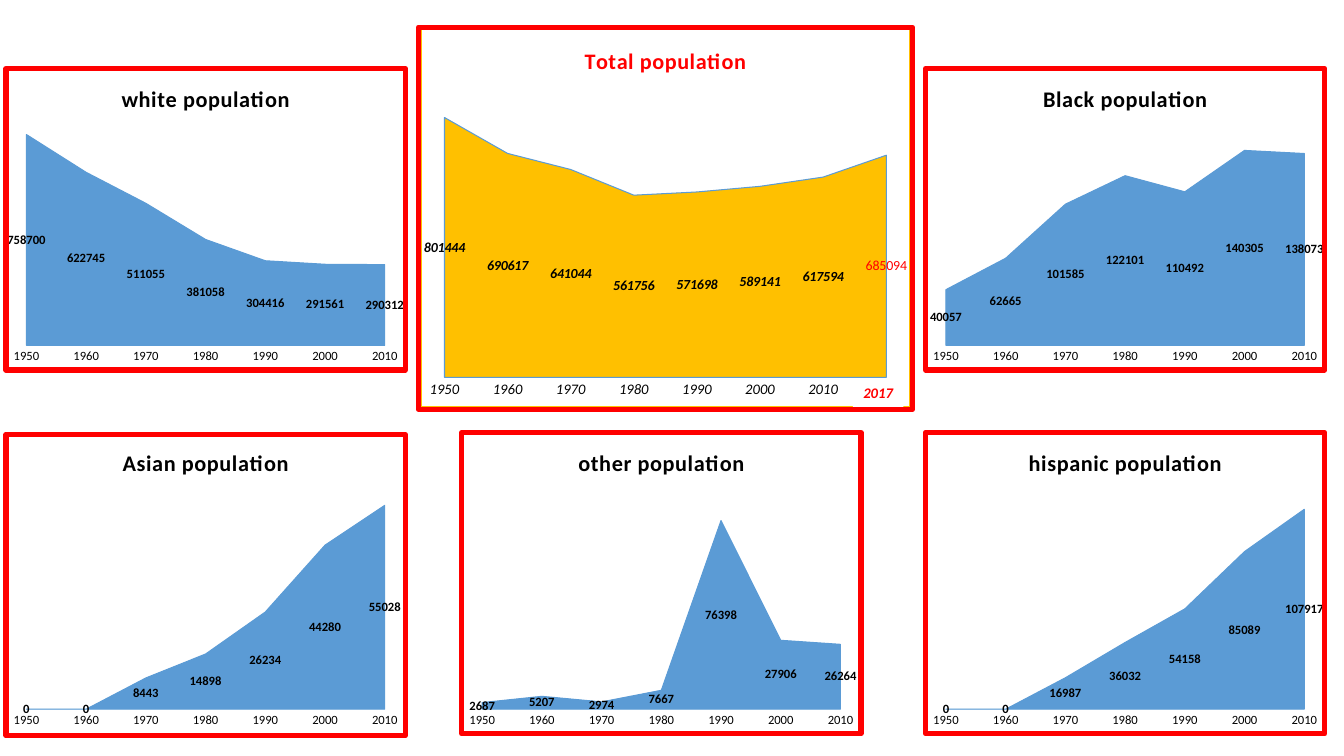
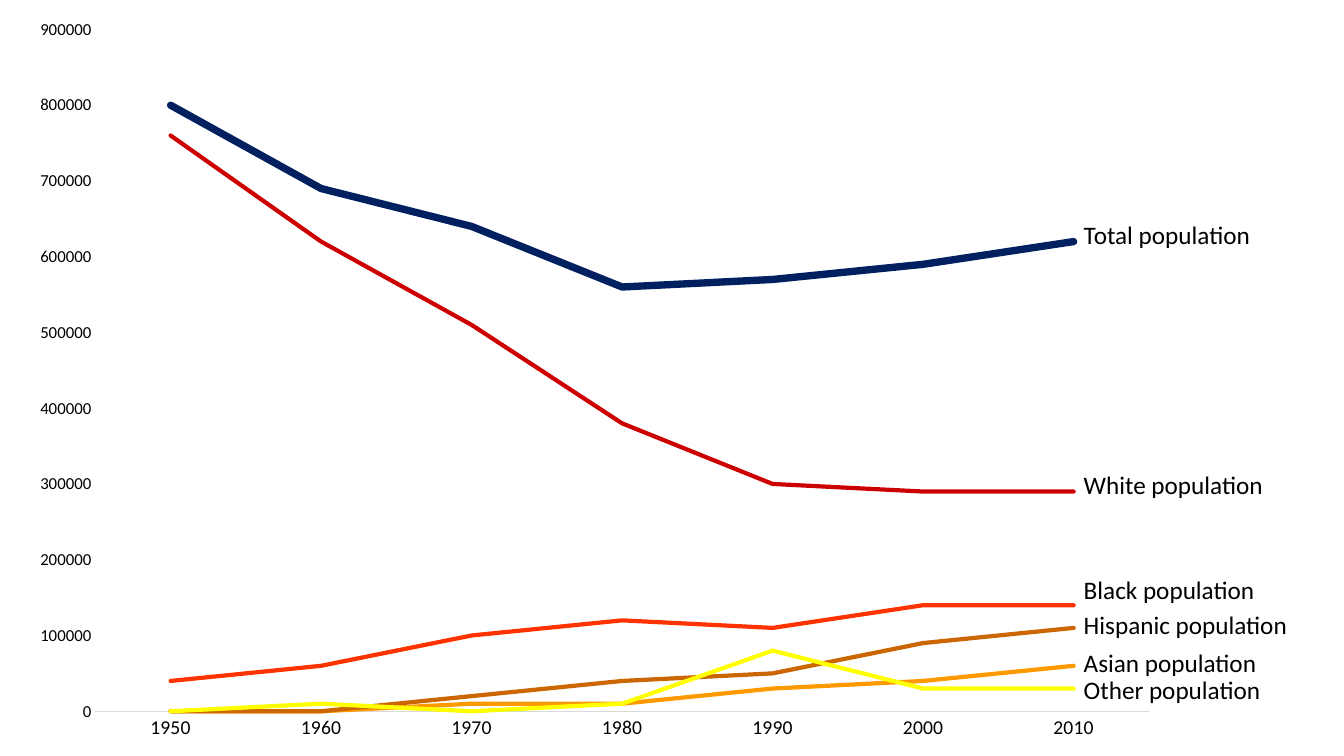
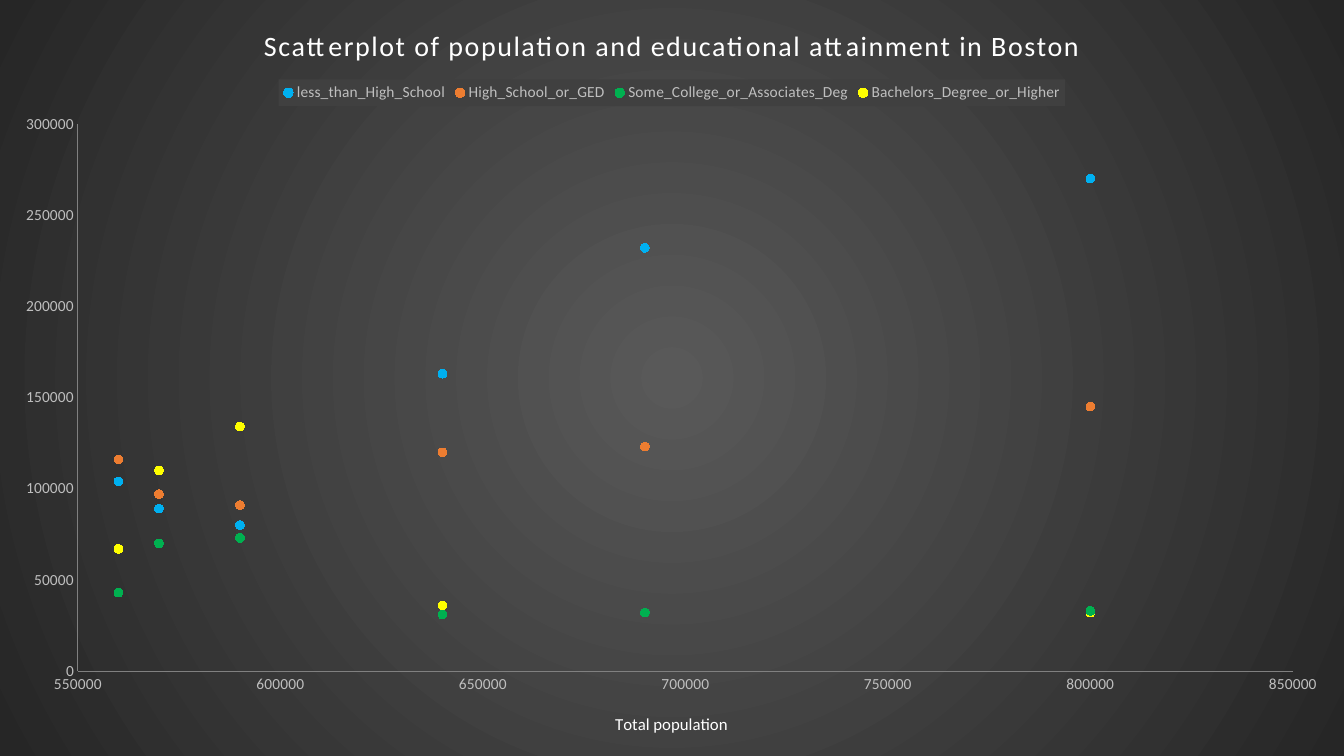
from pptx import Presentation
from pptx.chart.data import CategoryChartData, XyChartData
from pptx.dml.color import RGBColor
from pptx.enum.chart import XL_CHART_TYPE, XL_LEGEND_POSITION, XL_MARKER_STYLE, XL_TICK_MARK
from pptx.enum.shapes import MSO_SHAPE
from pptx.enum.text import MSO_ANCHOR, PP_ALIGN
from pptx.oxml import parse_xml
from pptx.oxml.ns import nsdecls, qn
from pptx.util import Inches, Pt

AREA, LINE, DOTS = XL_CHART_TYPE.AREA, XL_CHART_TYPE.LINE, XL_CHART_TYPE.XY_SCATTER
TOP, DISC, NONE = XL_LEGEND_POSITION.TOP, XL_MARKER_STYLE.CIRCLE, XL_TICK_MARK.NONE
RECT, MID, MIDDLE = MSO_SHAPE.RECTANGLE, PP_ALIGN.CENTER, MSO_ANCHOR.MIDDLE


class Theme:
    face = "Calibri"
    black, white, red = "000000", "FFFFFF", "FF0000"
    blue, gold, pale = "5B9BD5", "FFC000", "BDD7EE"
    rule, grey, silver, panel = "D9D9D9", "808080", "BFBFBF", "404040"
    lines = {"Total": "002060", "Asian": "FF9900", "hispanic": "CC6600",
             "other": "FFFF00", "Black": "FF3300", "white": "CC0000"}
    dots = ("00B0F0", "ED7D31", "00B050", "FFFF00")
    tiny, base, mid, tick, note = 9, 10, 10.5, 11, 12
    years, head, tag, banner = 14, 16, 18, 20
    frame, hair, thin, thick = 3.75, 0.75, 3, 5.25


def style(font, size, color, bold=False, italic=False):
    font.name, font.size = Theme.face, Pt(size)
    font.bold, font.italic = bold, italic
    font.color.rgb = RGBColor.from_string(color)


def draw(page, kind, data, box, plot, title=None, size=Theme.head, color=Theme.black, bold=True, gap=50):
    chart = page.shapes.add_chart(kind, *map(Inches, box), data).chart
    style(chart.font, Theme.base, Theme.black)
    chart.has_legend = False
    chart.has_title = title is not None
    if title:
        chart.chart_title.text_frame.text = title
        run = chart.chart_title.text_frame.paragraphs[0].runs[0]
        style(run.font, size, color, bold)
        run.font._element.set("spc", str(gap))
    area = chart.element.find(".//" + qn("c:plotArea"))
    for old in area.findall(qn("c:layout")):
        area.remove(old)
    sides = "".join(f'<c:{key} val="{val}"/>' for key, val in zip("xywh", plot))
    area.insert(0, parse_xml(
        f'<c:layout {nsdecls("c")}><c:manualLayout><c:layoutTarget val="inner"/>'
        f'<c:xMode val="edge"/><c:yMode val="edge"/>{sides}</c:manualLayout></c:layout>'))
    for axis in (chart.category_axis, chart.value_axis):
        axis.has_major_gridlines = False
        axis.major_tick_mark = axis.minor_tick_mark = NONE
        axis.format.line.width = Pt(Theme.hair)
    return chart


deck = Presentation()
deck.slide_width, deck.slide_height = Inches(13.33), Inches(7.5)
blank = deck.slide_layouts[6]

years = ["2010", "2000", "1990", "1980", "1970", "1960", "1950"]
counts = {
    "Total": [617594, 589141, 571698, 561756, 641044, 690617, 801444],
    "Asian": [55028, 44280, 26234, 14898, 8443, 0, 0],
    "hispanic": [107917, 85089, 54158, 36032, 16987, 0, 0],
    "other": [26264, 27906, 76398, 7667, 2974, 5207, 2687],
    "Black": [138073, 140305, 110492, 122101, 101585, 62665, 40057],
    "white": [290312, 291561, 304416, 381058, 511055, 622745, 758700],
}

page = deck.slides.add_slide(blank)
cols, rows = (0.06, 4.58, 9.18), (0.68, 4.29)
wide, tall = 3.96, 2.99
boxes = {
    "Total": (4.15, 0.27, 4.9, 3.79),
    "Asian": (cols[0], rows[1], wide, tall),
    "hispanic": (cols[2], rows[1], wide, tall),
    "other": (cols[1], rows[1], wide, tall),
    "Black": (cols[2], rows[0], wide, tall),
    "white": (cols[0], rows[0], wide, tall),
}
caps = {"Total": 900000, "Asian": 60000, "hispanic": 120000,
        "other": 90000, "Black": 160000, "white": 800000}

for name, box in boxes.items():
    total = name == "Total"
    data = CategoryChartData()
    data.categories = ["2017"] + years if total else years
    data.add_series(f"{name} population", [685094] + counts[name] if total else counts[name])
    plot = (0.05, 0.15, 0.9, 0.77) if total else (0.05, 0.18, 0.9, 0.74)
    chart = draw(page, AREA, data, box, plot, f"{name} population",
                 color=Theme.red if total else Theme.black)
    chart.chart_title.include_in_layout = False
    edge, weight = (Theme.gold, 2.25) if total else (Theme.blue, Theme.hair)
    chart.element.find(qn("c:chart")).addnext(parse_xml(
        f'<c:spPr {nsdecls("c", "a")}><a:noFill/><a:ln w="{Pt(weight)}"><a:solidFill>'
        f'<a:srgbClr val="{edge}"/></a:solidFill></a:ln></c:spPr>'))
    chart.value_axis.visible = False
    chart.value_axis.minimum_scale = 0
    chart.value_axis.maximum_scale = caps[name]
    axis = chart.category_axis
    axis.reverse_order = True
    style(axis.tick_labels.font, Theme.mid if total else Theme.tiny, Theme.black, italic=total)
    axis.format.line.color.rgb = RGBColor.from_string(Theme.white if name == "white" else Theme.pale)
    tint = axis.format.line._ln.find(".//" + qn("a:srgbClr"))
    tint.append(parse_xml(f'<a:alpha {nsdecls("a")} val="25000"/>'))
    series = chart.plots[0].series[0]
    series.format.fill.solid()
    series.format.fill.fore_color.rgb = RGBColor.from_string(Theme.gold if total else Theme.blue)
    series.format.line.color.rgb = RGBColor.from_string(Theme.blue)
    series.format.line.width = Pt(Theme.hair)
    marks = series.data_labels
    marks.show_value = True
    style(marks.font, Theme.base if total else Theme.tiny, Theme.black, True, total)
    if total:
        frame = series.points[0].data_label.text_frame
        frame.text = "685094"
        style(frame.paragraphs[0].runs[0].font, Theme.base, Theme.red)

year = page.shapes.add_shape(RECT, *map(Inches, (8.46, 3.76, 0.5, 0.28)))
year.shadow.inherit = False
year.fill.solid()
year.fill.fore_color.rgb = RGBColor.from_string(Theme.white)
year.line.fill.background()
year.text_frame.word_wrap = False
year.text_frame.vertical_anchor = MIDDLE
year.text_frame.text = "2017"
year.text_frame.paragraphs[0].alignment = MID
style(year.text_frame.paragraphs[0].runs[0].font, Theme.mid, Theme.red, True, True)

for name, (left, top, width, height) in boxes.items():
    drop = 0.02 if name == "Asian" else 0
    frame = page.shapes.add_shape(RECT, *map(Inches, (left, top + drop, width, height)))
    frame.shadow.inherit = False
    frame.fill.background()
    frame.line.color.rgb = RGBColor.from_string(Theme.red)
    frame.line.width = Pt(Theme.frame)

page = deck.slides.add_slide(blank)
data = CategoryChartData()
data.categories = years[::-1]
for name, vals in counts.items():
    data.add_series(f"{name} population".capitalize(), [round(val, -4) for val in vals[::-1]])
chart = draw(page, LINE, data, (0.22, 0, 12.95, 7.5), (0.056, 0.039, 0.807, 0.902))
axis = chart.category_axis
style(axis.tick_labels.font, Theme.years, Theme.black)
axis.format.line.color.rgb = RGBColor.from_string(Theme.rule)
axis = chart.value_axis
axis.minimum_scale, axis.maximum_scale, axis.major_unit = 0, 900000, 100000
style(axis.tick_labels.font, Theme.note, Theme.black)
axis.format.line.fill.background()
for series, (name, color) in zip(chart.plots[0].series, Theme.lines.items()):
    series.smooth = False
    series.marker.style = XL_MARKER_STYLE.NONE
    series.format.line.color.rgb = RGBColor.from_string(color)
    series.format.line.width = Pt(Theme.thick if name == "Total" else Theme.thin)
    series.format.line._ln.set("cap", "rnd")

tops = {"Total": 2.13, "White": 4.61, "Black": 5.65, "Hispanic": 6, "Asian": 6.37, "Other": 6.64}
for name, top in tops.items():
    frame = page.shapes.add_textbox(*map(Inches, (10.65, top, 2.38, 0.4))).text_frame
    frame.word_wrap = True
    frame.text = f"{name} population"
    style(frame.paragraphs[0].runs[0].font, Theme.tag, Theme.black)

page = deck.slides.add_slide(blank)
grades = {
    "less_than_High_School": (80, 89, 104, 163, 232, 270),
    "High_School_or_GED": (91, 97, 116, 120, 123, 145),
    "Some_College_or_Associates_Deg": (73, 70, 43, 31, 32, 33),
    "Bachelors_Degree_or_Higher": (134, 110, 67, 36, 32, 32),
}
data = XyChartData()
for name, vals in grades.items():
    series = data.add_series(name)
    for total, val in zip(counts["Total"][1:], vals):
        series.add_data_point(round(total, -4), val * 1000)
chart = draw(page, DOTS, data, (0, 0, 13.33, 7.5), (0.058, 0.164, 0.904, 0.724),
             "Scatterplot of population and educational attainment in Boston",
             Theme.banner, Theme.white, False, 100)
chart.element.find(qn("c:chart")).addnext(parse_xml(
    f'<c:spPr {nsdecls("c", "a")}><a:gradFill><a:gsLst>'
    '<a:gs pos="0"><a:srgbClr val="595959"/></a:gs><a:gs pos="100000"><a:srgbClr val="262626"/></a:gs>'
    '</a:gsLst><a:path path="circle"><a:fillToRect l="50000" t="50000" r="50000" b="50000"/></a:path>'
    '</a:gradFill><a:ln><a:noFill/></a:ln></c:spPr>'))
spans = ((chart.category_axis, 550000, 850000), (chart.value_axis, 0, 300000))
for axis, low, high in spans:
    axis.minimum_scale, axis.maximum_scale, axis.major_unit = low, high, 50000
    style(axis.tick_labels.font, Theme.tick, Theme.silver)
    axis.format.line.color.rgb = RGBColor.from_string(Theme.grey)
frame = chart.category_axis.axis_title.text_frame
frame.text = "Total population"
style(frame.paragraphs[0].runs[0].font, Theme.note, Theme.white)
chart.value_axis.has_title = False
chart.has_legend = True
legend = chart.legend
legend.position, legend.include_in_layout = TOP, False
style(legend.font, Theme.tick, Theme.silver)
legend._element.find(qn("c:overlay")).addnext(parse_xml(
    f'<c:spPr {nsdecls("c", "a")}><a:solidFill><a:srgbClr val="{Theme.panel}"/></a:solidFill></c:spPr>'))
for series, color in zip(chart.plots[0].series, Theme.dots):
    series.format.line.fill.background()
    series.marker.style, series.marker.size = DISC, 6
    series.marker.format.fill.solid()
    series.marker.format.fill.fore_color.rgb = RGBColor.from_string(color)
    series.marker.format.line.color.rgb = RGBColor.from_string(color)

deck.save("out.pptx")
